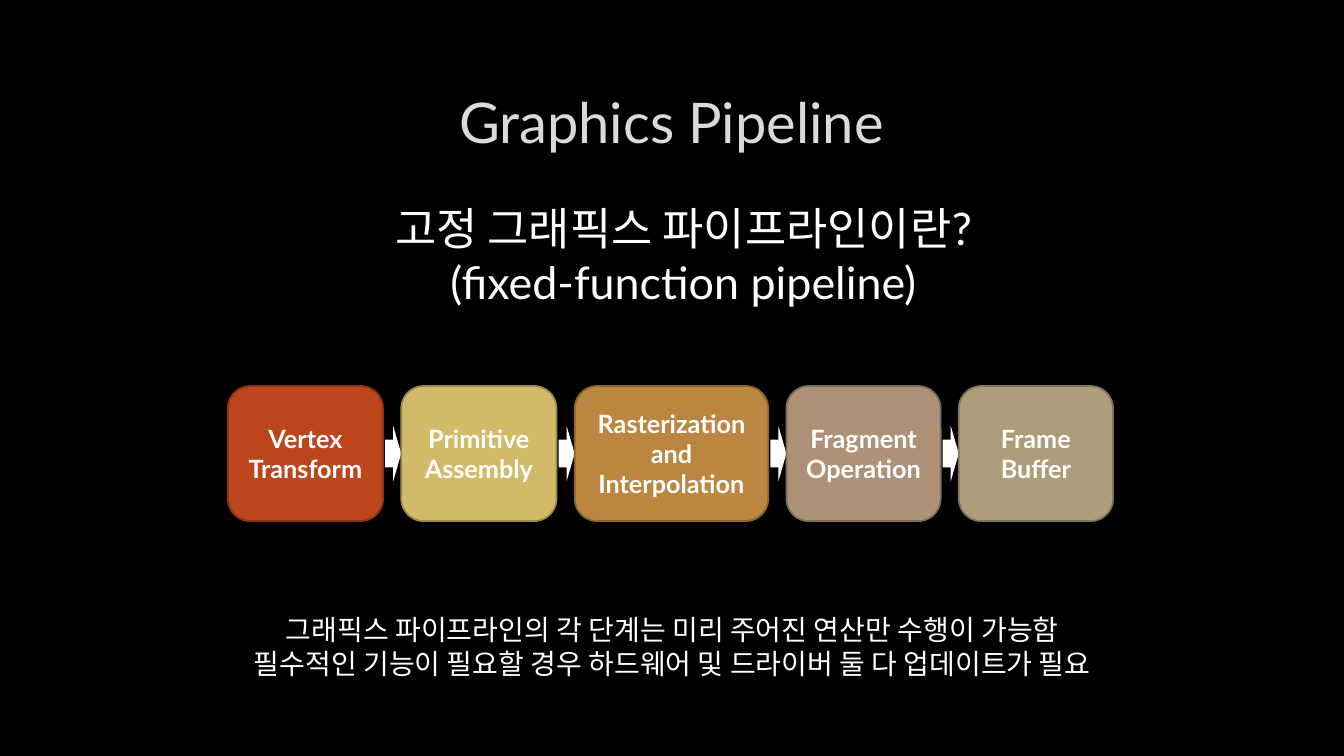
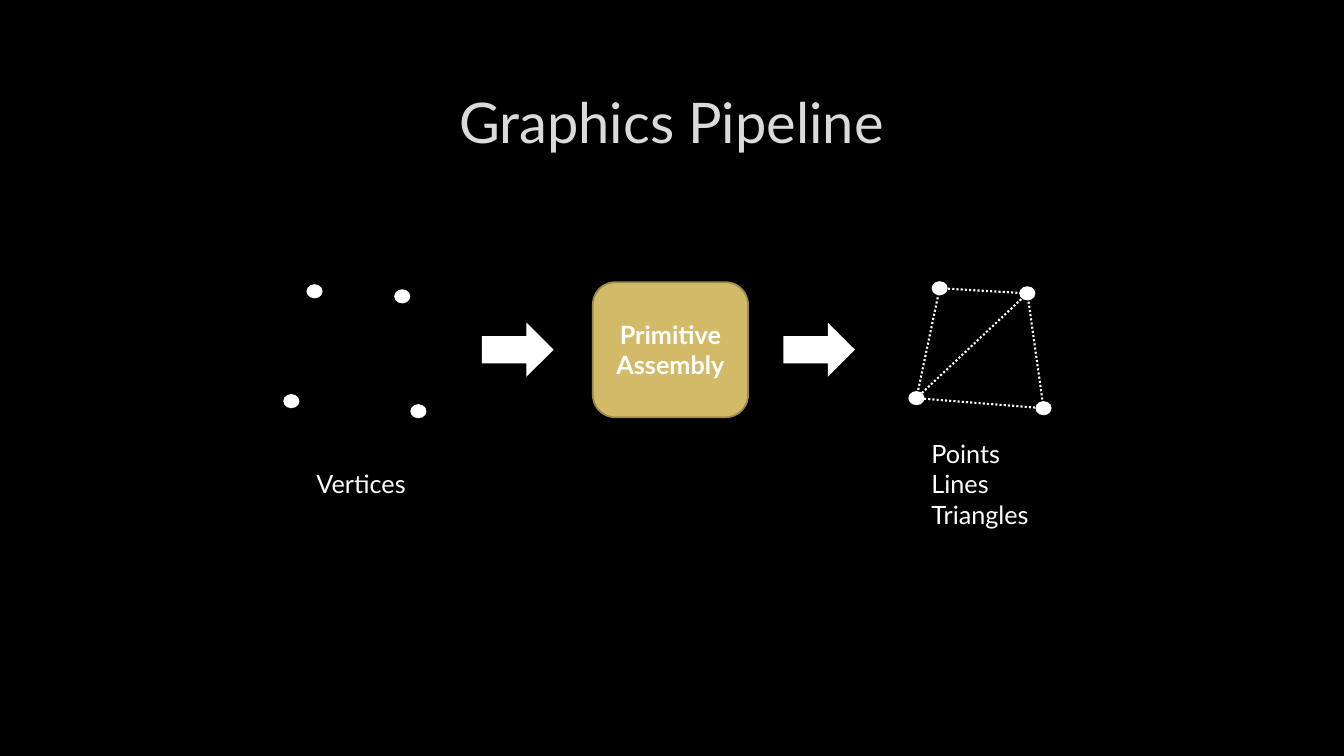
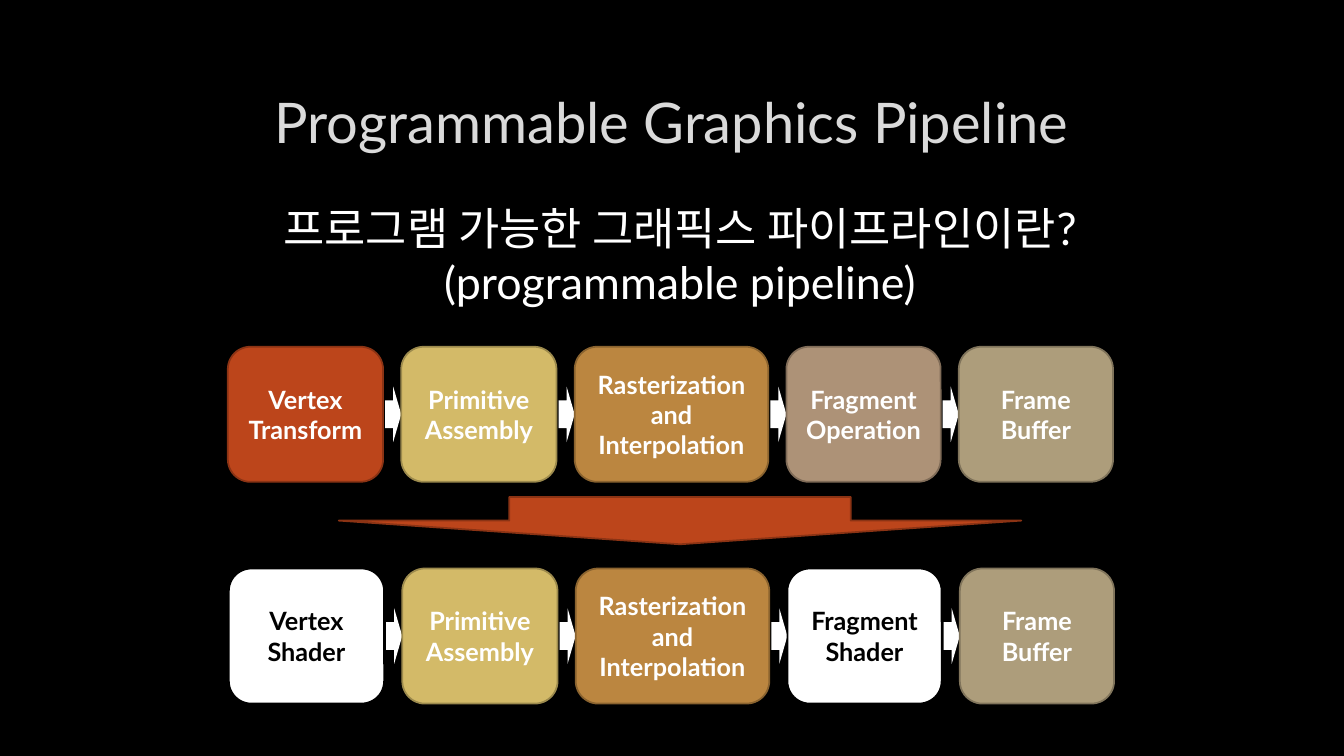
from dataclasses import dataclass

from lxml import etree
from pptx import Presentation
from pptx.dml.color import RGBColor
from pptx.enum.dml import MSO_LINE
from pptx.enum.shapes import MSO_CONNECTOR, MSO_SHAPE
from pptx.enum.text import MSO_ANCHOR, PP_ALIGN
from pptx.oxml.ns import qn
from pptx.util import Inches, Pt

ROUNDED, DOT = MSO_SHAPE.ROUNDED_RECTANGLE, MSO_SHAPE.FLOWCHART_CONNECTOR
RIGHT_ARROW, DOWN_ARROW = MSO_SHAPE.RIGHT_ARROW, MSO_SHAPE.DOWN_ARROW
STRAIGHT, DOTTED = MSO_CONNECTOR.STRAIGHT, MSO_LINE.ROUND_DOT
TOP, MIDDLE = MSO_ANCHOR.TOP, MSO_ANCHOR.MIDDLE
LEFT, CENTER = PP_ALIGN.LEFT, PP_ALIGN.CENTER


@dataclass(frozen=True)
class Theme:
    font: str = "Lato"
    background: str = "000000"
    title: str = "DADADA"
    light: str = "FFFFFF"
    dark: str = "000000"
    title_size: int = 40
    heading_size: int = 32
    note_size: int = 20
    label_size: int = 18
    stage_line: float = 1.25
    edge_line: float = 1.5


THEME = Theme()

# Stage colours: fill, outline, text
RED = ("BC451B", "8B3314", THEME.light)
YELLOW = ("D3BA68", "9C8A4D", THEME.light)
ORANGE = ("BB8640", "8A632F", THEME.light)
BROWN = ("AD9277", "806C58", THEME.light)
SAND = ("AD9D7B", "80745B", THEME.light)
WHITE = (THEME.light, THEME.dark, THEME.dark)

# Content: each stage is label, width, colours
ASSEMBLY = ("Primitive Assembly", 1.54, YELLOW)
RASTER = ("Rasterization and Interpolation", 1.92, ORANGE)
FRAME = ("Frame Buffer", 1.53, SAND)
FIXED_STAGES = [("Vertex Transform", 1.54, RED), ASSEMBLY, RASTER,
                ("Fragment Operation", 1.53, BROWN), FRAME]
SHADER_STAGES = [("Vertex Shader", 1.54, WHITE), ASSEMBLY, RASTER,
                 ("Fragment Shader", 1.53, WHITE), FRAME]

FIXED_HEADING = ["고정 그래픽스 파이프라인이란?", "(fixed-function pipeline)"]
FIXED_NOTE = ["그래픽스 파이프라인의 각 단계는 미리 주어진 연산만 수행이 가능함",
              "필수적인 기능이 필요할 경우 하드웨어 및 드라이버 둘 다 업데이트가 필요"]
SHADER_HEADING = ["프로그램 가능한 그래픽스 파이프라인이란?", "(programmable pipeline)"]
PRIMITIVES = ["Points", "Lines", "Triangles"]

VERTICES = [(3.04, 2.82), (3.91, 2.87), (4.07, 4.01), (2.81, 3.91)]
EDGES = [(0, 1), (1, 2), (2, 3), (3, 0), (1, 3)]
MESH_SHIFT = (6.2, -0.03)

# Layout in inches
SLIDE_SIZE = (13.33, 7.5)
TITLE_BOX = (1, 0.67, 11.32, 1.06)
ROW_LEFT, STAGE_HEIGHT, STAGE_GAP = 2.26, 1.34, 0.18
STEP_WIDTH, STEP_HEIGHT = 0.16, 0.55
DOT_WIDTH, DOT_HEIGHT = 0.16, 0.14


def rgb(color):
    return RGBColor.from_string(color)


def write(frame, lines, size, color, align=CENTER, anchor=TOP, bold=False):
    frame.word_wrap = True
    frame.vertical_anchor = anchor
    frame.text = "\n".join(lines)
    for paragraph in frame.paragraphs:
        paragraph.alignment = align
        font = paragraph.font
        font.name, font.size, font.bold = THEME.font, Pt(size), bold
        font.color.rgb = rgb(color)


def add_text(slide, box, lines, size, color=THEME.light, **style):
    frame = slide.shapes.add_textbox(*map(Inches, box)).text_frame
    write(frame, lines, size, color, **style)


def add_figure(shapes, preset, box, fill=THEME.light, outline=None):
    figure = shapes.add_shape(preset, *map(Inches, box))
    figure.shadow.inherit = False
    figure.fill.solid()
    figure.fill.fore_color.rgb = rgb(fill)
    if outline:
        figure.line.color.rgb = rgb(outline)
        figure.line.width = Pt(THEME.stage_line)
    else:
        figure.line.fill.background()
    return figure


def add_stage(shapes, left, top, stage):
    label, width, (fill, outline, color) = stage
    box = add_figure(shapes, ROUNDED, (left, top, width, STAGE_HEIGHT), fill, outline)
    write(box.text_frame, [label], THEME.label_size, color, anchor=MIDDLE, bold=True)


def add_pipeline(slide, top, stages, left=ROW_LEFT):
    shapes = slide.shapes.add_group_shape().shapes
    step_top = top + (STAGE_HEIGHT - STEP_HEIGHT) / 2
    for index, stage in enumerate(stages):
        if index:
            add_figure(shapes, RIGHT_ARROW,
                       (left - STEP_WIDTH, step_top, STEP_WIDTH, STEP_HEIGHT))
        add_stage(shapes, left, top, stage)
        left += stage[1] + STAGE_GAP


def add_edge(slide, start, end):
    edge = slide.shapes.add_connector(STRAIGHT, *map(Inches, (*start, *end)))
    edge.line.color.rgb = rgb(THEME.light)
    edge.line.width = Pt(THEME.edge_line)
    edge.line.dash_style = DOTTED
    etree.SubElement(edge._element.spPr, qn("a:effectLst"))


def add_vertices(slide, points, edges=()):
    centres = [(x + DOT_WIDTH / 2, y + DOT_HEIGHT / 2) for x, y in points]
    for start, end in edges:
        add_edge(slide, centres[start], centres[end])
    for point in points:
        add_figure(slide.shapes, DOT, (*point, DOT_WIDTH, DOT_HEIGHT))


def add_slide(prs, title):
    slide = prs.slides.add_slide(prs.slide_layouts[6])
    add_text(slide, TITLE_BOX, [title], THEME.title_size, THEME.title, anchor=MIDDLE)
    return slide


def main():
    prs = Presentation()
    prs.slide_width, prs.slide_height = map(Inches, SLIDE_SIZE)
    backdrop = prs.slide_master.background.fill
    backdrop.solid()
    backdrop.fore_color.rgb = rgb(THEME.background)

    # Fixed-function pipeline
    fixed = add_slide(prs, "Graphics Pipeline")
    add_pipeline(fixed, 3.83, FIXED_STAGES)
    add_text(fixed, (3.14, 1.94, 7.28, 1.18), FIXED_HEADING, THEME.heading_size)
    add_text(fixed, (1.67, 6.03, 10, 0.77), FIXED_NOTE, THEME.note_size)

    # Primitive assembly: vertices in, connected mesh out
    assembly = add_slide(prs, "Graphics Pipeline")
    mesh = [(x + MESH_SHIFT[0], y + MESH_SHIFT[1]) for x, y in VERTICES]
    add_vertices(assembly, VERTICES)
    add_stage(assembly.shapes, 5.88, 2.8, ASSEMBLY)
    add_vertices(assembly, mesh, EDGES)
    for left in (4.78, 7.77):
        add_figure(assembly.shapes, RIGHT_ARROW, (left, 3.2, 0.71, 0.54))
    add_text(assembly, (3.04, 4.6, 1.18, 0.4), ["Vertices"], THEME.label_size, align=LEFT)
    add_text(assembly, (9.14, 4.3, 1.52, 1.01), PRIMITIVES, THEME.label_size, align=LEFT)

    # Programmable pipeline: fixed stages become shaders
    shader = add_slide(prs, "Programmable Graphics Pipeline")
    add_text(shader, (1.94, 1.94, 9.61, 1.18), SHADER_HEADING, THEME.heading_size)
    add_pipeline(shader, 3.44, FIXED_STAGES)
    add_figure(shader.shapes, DOWN_ARROW, (3.36, 4.93, 6.77, 0.47), *RED[:2])
    add_pipeline(shader, 5.64, SHADER_STAGES, ROW_LEFT + 0.01)

    prs.save("out.pptx")


if __name__ == "__main__":
    main()
